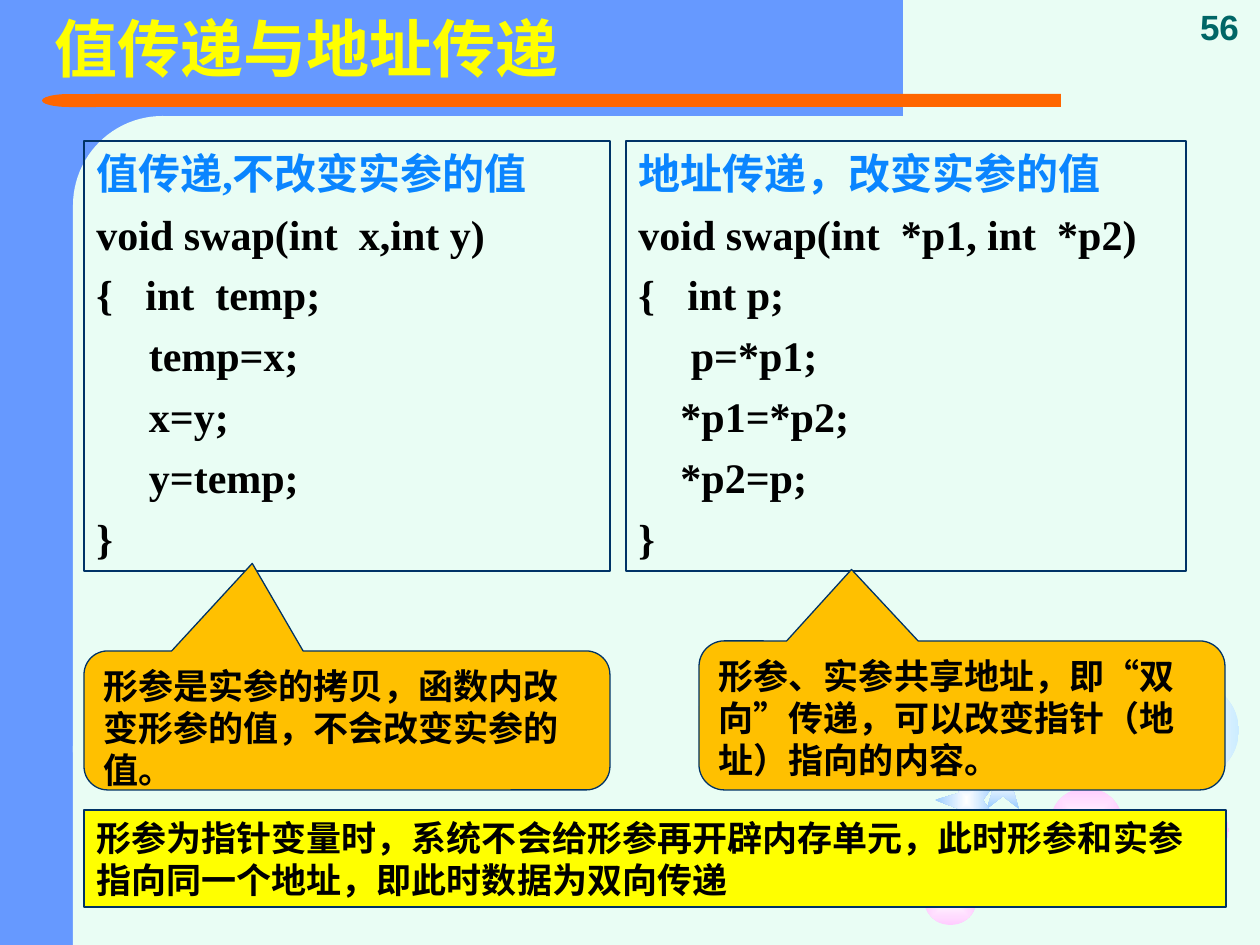
from lxml.etree import SubElement
from pptx import Presentation
from pptx.dml.color import RGBColor
from pptx.enum.shapes import MSO_SHAPE
from pptx.enum.text import MSO_ANCHOR, PP_ALIGN
from pptx.oxml.ns import qn
from pptx.util import Pt

PX = 914400 // 126
COLORS = dict(mint='E9FDF4', blue='6699FF', orange='FF6600', white='FFFFFF', pink='FFCCFF',
              sky='CCECFF', star='99CCFF', title='FFFF00', number='006666', outline='003366',
              heading='0A85FF', black='000000', callout='FFC000', yellow='FFFF00')
RECT, ROUND = MSO_SHAPE.RECTANGLE, MSO_SHAPE.ROUNDED_RECTANGLE
CALLOUT = MSO_SHAPE.ROUNDED_RECTANGULAR_CALLOUT

BACKDROP = [
    (RECT, (0, 0, 158, 945), 'blue', [], 0),
    (RECT, (63, 0, 840, 116), 'blue', [], 0),
    (ROUND, (73, 116, 179, 725), 'mint', [0.5], 0),
    (ROUND, (95, 94, 966, 13), 'orange', [0], 0),
    (MSO_SHAPE.FLOWCHART_DELAY, (42, 94, 54, 13), 'orange', [], 180),
    (RECT, (73, 746, 179, 199), 'mint', [], 0),
]
BALLS = [(1050, 788, 73, 'pink'), (924, 872, 53, 'pink'),
         (1187, 809, 42, 'pink'), (1144, 683, 95, 'sky')]
STARS = [
    [(976, 776), (997, 776), (1003, 756), (1009, 776), (1029, 776),
     (1013, 789), (1019, 809), (1003, 796), (987, 809), (993, 789)],
    [(959, 834), (959, 809), (935, 800), (959, 793), (959, 766),
     (974, 788), (998, 780), (983, 800), (998, 822), (974, 814)],
]
TITLE = '值传递与地址传递'
NUMBER = '56'
CODE = [
    ((84, 141, 526, 430), '值传递,不改变实参的值',
     [(0, 'void swap(int  x,int y)'), (0, '{\tint  temp;'), (5, 'temp=x;'),
      (5, 'x=y;'), (5, 'y=temp;'), (0, '}')]),
    ((626, 141, 560, 430), '地址传递，改变实参的值',
     [(0, 'void swap(int  *p1, int  *p2)'), (0, '{\tint p;'), (5, 'p=*p1;'),
      (4, '*p1=*p2;'), (4, '*p2=p;'), (0, '}')]),
]
NOTES = [
    (CALLOUT, (84, 651, 526, 139), 'callout', [-0.18, -1.13, 0.17],
     '形参是实参的拷贝，函数内改变形参的值，不会改变实参的值。'),
    (CALLOUT, (699, 641, 526, 149), 'callout', [-0.21, -0.98, 0.17],
     '形参、实参共享地址，即“双向”传递，可以改变指针（地址）指向的内容。'),
    (RECT, (84, 810, 1142, 97), 'yellow', [],
     '形参为指针变量时，系统不会给形参再开辟内存单元，此时形参和实参指向同一个地址，即此时数据为双向传递'),
]
SPACE = Pt(6)
BODY_TAB = Pt(28)

prs = Presentation()
prs.slide_width, prs.slide_height = 1260 * PX, 945 * PX
slide = prs.slides.add_slide(prs.slide_layouts[6])


def rgb(name):
    return RGBColor.from_string(COLORS[name])


def paint(sp, fill=None, outline=False):
    sp.shadow.inherit = False
    if fill:
        sp.fill.solid()
        sp.fill.fore_color.rgb = rgb(fill)
    else:
        sp.fill.background()
    if outline:
        sp.line.color.rgb = rgb('outline')
        sp.line.width = Pt(0.75)
    else:
        sp.line.fill.background()


def add_shape(kind, box, fill=None, adjustments=(), outline=False):
    sp = slide.shapes.add_shape(kind, *[v * PX for v in box])
    for i, value in enumerate(adjustments):
        sp.adjustments[i] = value
    paint(sp, fill, outline)
    return sp


def glow(sp, color, shape):
    sp.fill.gradient()
    for stop, name in zip(sp.fill.gradient_stops, ('white', color)):
        stop.color.rgb = rgb(name)
    grad = sp.fill._xPr.find(qn('a:gradFill'))
    grad.remove(grad.find(qn('a:lin')))
    center = SubElement(SubElement(grad, qn('a:path'), path=shape), qn('a:fillToRect'))
    for side in 'ltrb':
        center.set(side, '50000')


def write(sp, lines, size, font, anchor=MSO_ANCHOR.TOP, align=PP_ALIGN.LEFT):
    tf = sp.text_frame
    tf.word_wrap = True
    tf.vertical_anchor = anchor
    for i, (text, color, indent) in enumerate(lines):
        p = tf.add_paragraph() if i else tf.paragraphs[0]
        p.text = text
        p.alignment = align
        if i:
            p.space_before = SPACE
        pPr = p._p.get_or_add_pPr()
        if indent:
            pPr.set('marL', str(indent * SPACE))
            pPr.set('indent', '0')
        if '\t' in text:
            SubElement(SubElement(pPr, qn('a:tabLst')), qn('a:tab'), pos=str(BODY_TAB), algn='l')
        for r in p.runs:
            r.font.size, r.font.name, r.font.bold = Pt(size), font, True
            r.font.color.rgb = rgb(color)
    return tf


slide.background.fill.solid()
slide.background.fill.fore_color.rgb = rgb('mint')
for kind, box, fill, adjustments, rotation in BACKDROP:
    add_shape(kind, box, fill, adjustments).rotation = rotation
for x, y, size, color in BALLS:
    glow(add_shape(MSO_SHAPE.OVAL, (x, y, size, size)), color, 'shape')
for points in STARS:
    builder = slide.shapes.build_freeform(*points[0], scale=PX)
    builder.add_line_segments(points[1:], close=True)
    sp = builder.convert_to_shape()
    paint(sp)
    glow(sp, 'star', 'rect')

title = slide.shapes.add_textbox(*[v * PX for v in (42, 0, 1061, 105)])
write(title, [(TITLE, 'title', 0)], 36, 'Arial', MSO_ANCHOR.MIDDLE).paragraphs[0].line_spacing = 0.9
number = slide.shapes.add_textbox(*[v * PX for v in (1179, 0, 81, 54)])
write(number, [(NUMBER, 'number', 0)], 20, 'Arial', MSO_ANCHOR.BOTTOM, PP_ALIGN.CENTER)

for box, heading, code in CODE:
    lines = [(heading, 'heading', 0)] + [(text, 'black', indent) for indent, text in code]
    write(add_shape(RECT, box, outline=True), lines, 24, 'Times New Roman')
for kind, box, fill, adjustments, text in NOTES:
    sp = add_shape(kind, box, fill, adjustments, True)
    write(sp, [(text, 'black', 0)], 20, 'Times New Roman')

prs.save("out.pptx")
